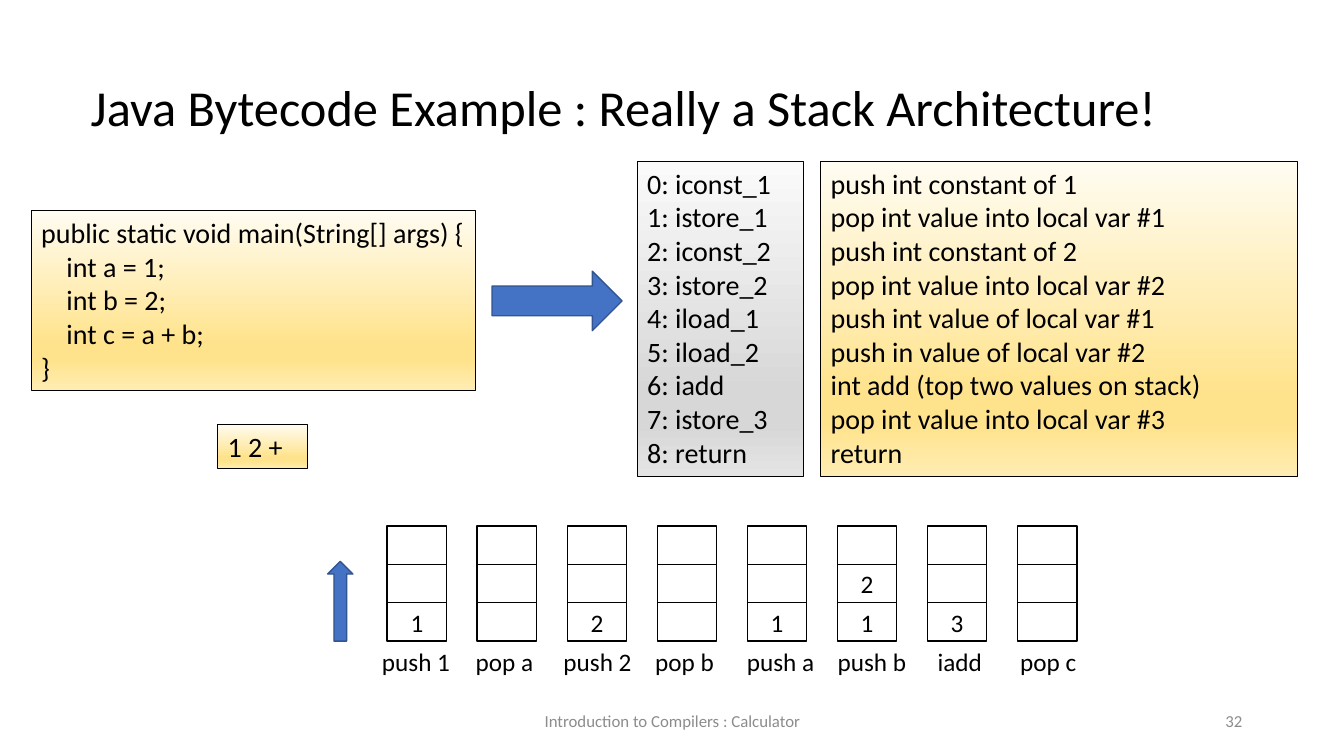
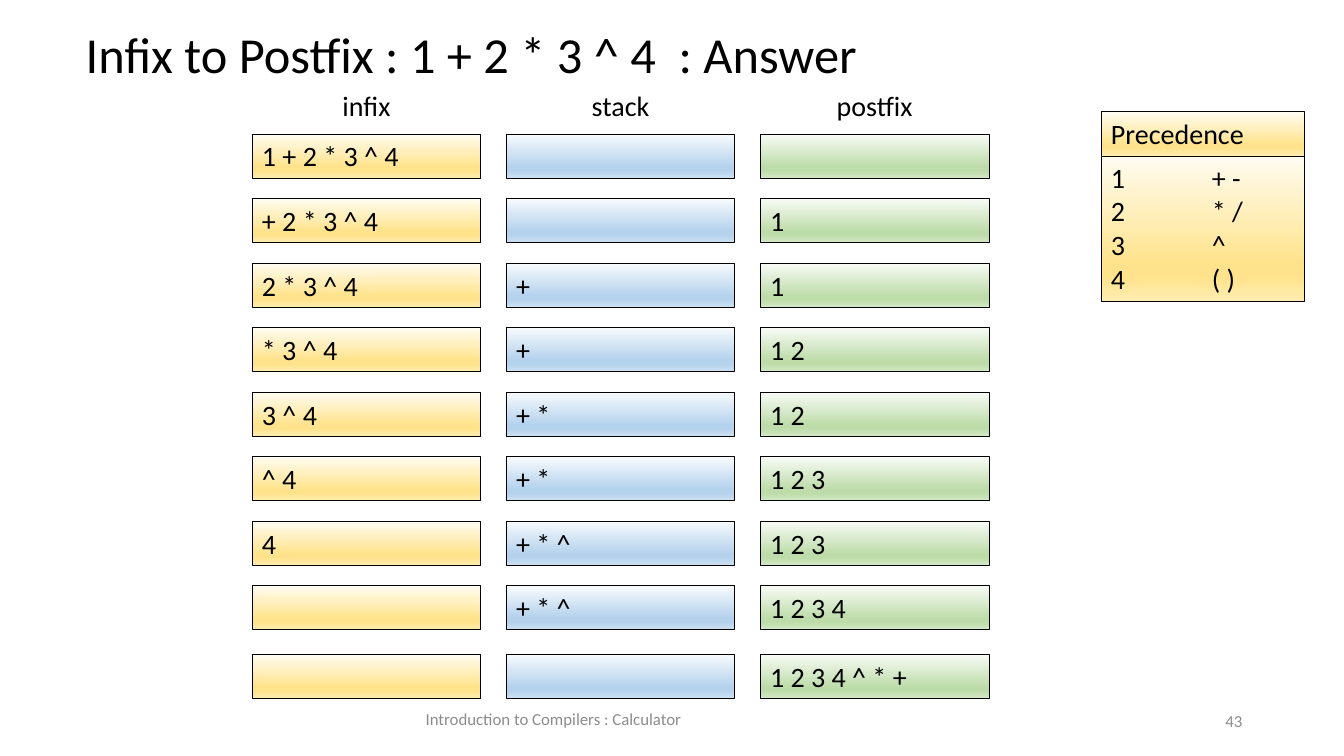
from copy import deepcopy

from pptx import Presentation
from pptx.dml.color import RGBColor
from pptx.enum.shapes import MSO_SHAPE
from pptx.enum.text import MSO_ANCHOR, MSO_AUTO_SIZE, PP_ALIGN
from pptx.oxml import parse_xml
from pptx.oxml.ns import nsdecls, qn
from pptx.util import Inches, Pt

RECT, RIGHT, UP = MSO_SHAPE.RECTANGLE, MSO_SHAPE.RIGHT_ARROW, MSO_SHAPE.UP_ARROW
LEFT, MID, END = PP_ALIGN.LEFT, PP_ALIGN.CENTER, PP_ALIGN.RIGHT
TOP, HALF = MSO_ANCHOR.TOP, MSO_ANCHOR.MIDDLE

# Shared look
FONT = "Calibri"
BLACK = RGBColor(0x00, 0x00, 0x00)
MUTED = RGBColor(0x8C, 0x8C, 0x8C)
BLUE = RGBColor(0x44, 0x72, 0xC4)
NAVY = RGBColor(0x32, 0x54, 0x91)
STOPS = (0, 0.74, 0.83, 1)


def shades(*codes):
    light, deep, soft = (RGBColor.from_string(code) for code in codes)
    return light, deep, deep, soft


GOLD = shades("FFFCF2", "FFE38C", "FFECB2")
GREY = shades("FAFAFA", "D7D7D7", "E4E4E4")
SKY = shades("F7FAFD", "B5D2EC", "CEE1F2")
GREEN = shades("F8FBF6", "BEDCAA", "D4E8C6")

BODY = {"name": FONT, "size": Pt(20), "color": BLACK}
HEAD = {**BODY, "size": Pt(36)}
SMALL = {**BODY, "size": Pt(18)}
NOTE = {**BODY, "size": Pt(12), "color": MUTED}

FOOTER = "Introduction to Compilers : Calculator"

# Slide 1 content
CODE = [
    "public static void main(String[] args) {",
    "    int a = 1;",
    "    int b = 2;",
    "    int c = a + b;",
    "}",
]
STEPS = [
    ("0: iconst_1", "push int constant of 1"),
    ("1: istore_1", "pop int value into local var #1"),
    ("2: iconst_2", "push int constant of 2"),
    ("3: istore_2", "pop int value into local var #2"),
    ("4: iload_1", "push int value of local var #1"),
    ("5: iload_2", "push in value of local var #2"),
    ("6: iadd", "int add (top two values on stack)"),
    ("7: istore_3", "pop int value into local var #3"),
    ("8: return", "return"),
]
# Label, label left, values from the bottom of the stack up
STACKS = [
    ("push 1", 3.69, "1"),
    ("pop a", 4.62, ""),
    ("push 2", 5.49, "2"),
    ("pop b", 6.4, ""),
    ("push a", 7.31, "1"),
    ("push b", 8.21, "12"),
    ("iadd", 9.2, "3"),
    ("pop c", 10.02, ""),
]

# Slide 2 content
COLUMNS = [("infix", GOLD), ("stack", SKY), ("postfix", GREEN)]
ROWS = [
    ("1 + 2 * 3 ^ 4", "", ""),
    ("+ 2 * 3 ^ 4", "", "1"),
    ("2 * 3 ^ 4", "+", "1"),
    ("* 3 ^ 4", "+", "1 2"),
    ("3 ^ 4", "+ *", "1 2"),
    ("^ 4", "+ *", "1 2 3"),
    ("4", "+ * ^", "1 2 3"),
    ("", "+ * ^", "1 2 3 4"),
    ("", "", "1 2 3 4 ^ * +"),
]
LEVELS = ["1\t+ -", "2\t* /", "3\t^", "4\t( )"]


def write(shape, lines, style, align=LEFT, anchor=TOP):
    frame = shape.text_frame
    frame.word_wrap = True
    frame.auto_size = MSO_AUTO_SIZE.NONE
    frame.vertical_anchor = anchor
    for i, line in enumerate(lines):
        para = frame.add_paragraph() if i else frame.paragraphs[0]
        para.alignment = align
        if "\t" in line:
            para._p.get_or_add_pPr().append(parse_xml(
                f'<a:tabLst {nsdecls("a")}>'
                f'<a:tab pos="{Inches(1)}" algn="l"/></a:tabLst>'))
        run = para.add_run()
        run.text = line
        for key, value in style.items():
            if key == "color":
                run.font.color.rgb = value
            else:
                setattr(run.font, key, value)


def label(slide, at, text, style, align=LEFT, anchor=TOP):
    box = slide.shapes.add_textbox(*map(Inches, at))
    write(box, [text], style, align, anchor)


def draw(slide, kind, at, line=BLACK, width=1):
    shape = slide.shapes.add_shape(kind, *map(Inches, at))
    shape.shadow.inherit = False
    shape.line.color.rgb = line
    shape.line.width = Pt(width)
    return shape


def panel(slide, at, lines, colors):
    shape = draw(slide, RECT, at, width=0.75)
    fill = shape.fill
    fill.gradient()
    fill.gradient_angle = 270
    # Widen the two default stops to four
    stops = shape._element.spPr.find(qn("a:gradFill")).find(qn("a:gsLst"))
    for stop in list(stops):
        stops.append(deepcopy(stop))
    for stop, place, color in zip(fill.gradient_stops, STOPS, colors):
        stop.position = place
        stop.color.rgb = color
    if any(lines):
        write(shape, lines, BODY)


def arrow(slide, kind, at):
    shape = draw(slide, kind, at, NAVY)
    shape.fill.solid()
    shape.fill.fore_color.rgb = BLUE


def start(deck, title, at, foot, number):
    slide = deck.slides.add_slide(deck.slide_layouts[5])
    head = slide.shapes.title
    for key, value in zip(("left", "top", "width", "height"), at):
        setattr(head, key, Inches(value))
    write(head, [title], HEAD)
    label(slide, (*foot, 4.5, 0.4), FOOTER, NOTE, MID, HALF)
    label(slide, (9.42, 6.95, 3, 0.4), number, NOTE, END, HALF)
    return slide


def bytecode(deck):
    slide = start(deck, "Java Bytecode Example : Really a Stack Architecture!",
                  (0.8, 0.7, 11.41, 0.71), (4.42, 6.95), "32")
    names, notes = zip(*STEPS)
    panel(slide, (0.31, 2.09, 4.41, 1.78), CODE, GOLD)
    panel(slide, (6.32, 1.6, 1.65, 3.13), names, GREY)
    panel(slide, (8.14, 1.6, 4.73, 3.13), notes, GOLD)
    panel(slide, (2.16, 4.21, 0.89, 0.44), ["1 2 +"], GOLD)
    arrow(slide, RIGHT, (4.88, 2.69, 1.29, 0.59))
    arrow(slide, UP, (3.25, 5.57, 0.25, 0.79))

    # Stack states, three cells each
    wide, high, depth = 0.59, 0.38, 3
    pitch = (10.09 - 3.84) / (len(STACKS) - 1)
    for i, (name, left, values) in enumerate(STACKS):
        for j in range(depth):
            at = (3.84 + i * pitch, 5.98 - j * high, wide, high)
            cell = draw(slide, RECT, at)
            cell.fill.background()
            if j < len(values):
                write(cell, [values[j]], SMALL, MID, HALF)
        label(slide, (left, 6.36, 0.95, 0.4), name, SMALL)


def postfix(deck):
    slide = start(deck, "Infix to Postfix : 1 + 2 * 3 ^ 4  : Answer",
                  (0.75, 0.18, 8.47, 0.71), (3.24, 6.93), "43")

    # Conversion grid; the final row stands slightly apart
    wide, high = 2.27, 0.44
    tops = [1.33 + 0.64 * i for i in range(len(ROWS) - 1)] + [6.49]
    for i, (name, colors) in enumerate(COLUMNS):
        left = 2.5 + 2.52 * i
        label(slide, (left, 0.83, wide, high), name, BODY, MID)
        for top, row in zip(tops, ROWS):
            panel(slide, (left, top, wide, high), [row[i]], colors)

    # Precedence key
    panel(slide, (10.92, 1.54, 2.02, 1.45), LEVELS, GOLD)
    panel(slide, (10.92, 1.11, 2.02, high), ["Precedence"], GOLD)


def main():
    deck = Presentation()
    deck.slide_width, deck.slide_height = Inches(13.33), Inches(7.5)
    bytecode(deck)
    postfix(deck)
    deck.save("out.pptx")


if __name__ == "__main__":
    main()
